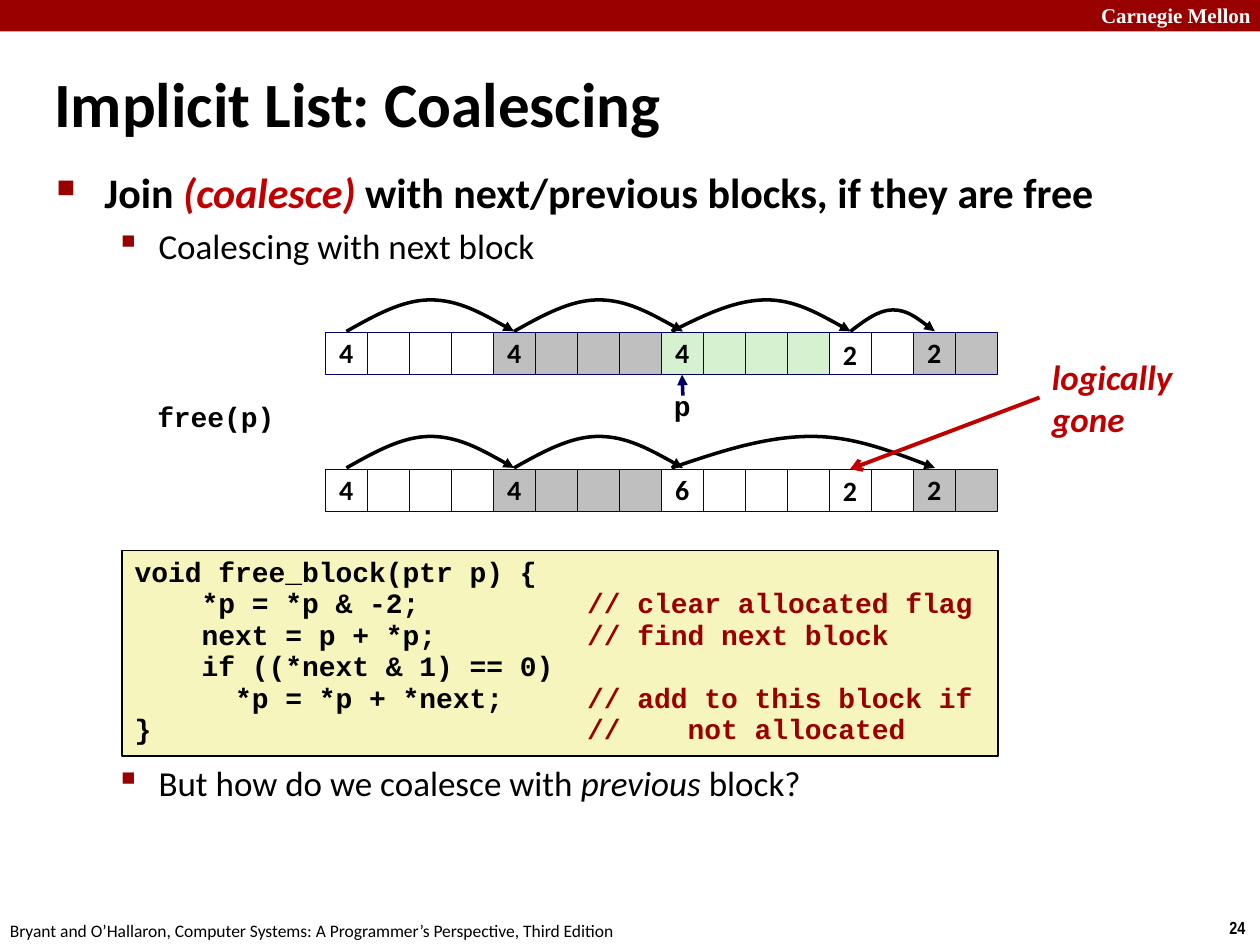
from typing import NamedTuple

from lxml.etree import SubElement
from pptx import Presentation
from pptx.dml.color import RGBColor
from pptx.enum.shapes import MSO_CONNECTOR as CONN, MSO_SHAPE as SHAPE
from pptx.enum.text import MSO_ANCHOR as ANCHOR, MSO_AUTO_SIZE as AUTO, PP_ALIGN as ALIGN
from pptx.oxml.ns import qn
from pptx.util import Inches, Pt

BLACK, WHITE, NAVY = "000000", "FFFFFF", "000066"
CRIMSON, RED = "990000", "C00000"
GRAY, GREEN, YELLOW = "BFBFBF", "D5F1CF", "F6F5BD"
SANS, MONO = "Calibri", "Courier New"
CELL = 1 / 3
ROW_LEFT = 2.58


class Style(NamedTuple):
    size: float
    font: str = SANS
    color: str = BLACK
    bold: bool = True
    italic: bool = False


class Label(NamedTuple):
    x: float
    y: float
    w: float
    h: float
    lines: tuple[str, ...]
    style: Style
    spacing: float = 1


class Block(NamedTuple):
    count: int
    size: str
    fill: str


class Arc(NamedTuple):
    start: float
    end: float
    height: float = 0.25
    peak: float = 0.5


class HeapRow(NamedTuple):
    top: float
    blocks: tuple[Block, ...]
    arcs: tuple[Arc, ...]


class Bullet(NamedTuple):
    char: str
    percent: int
    margin: float
    indent: float
    spacing: float
    before: float
    runs: tuple[tuple[str, Style], ...]


def rgb(color: str) -> RGBColor:
    return RGBColor.from_string(color)


def add_run(p, text: str, style: Style) -> None:
    r = p.add_run()
    r.text = text
    f = r.font
    f.name, f.size, f.bold, f.italic = style.font, Pt(style.size), style.bold, style.italic
    f.color.rgb = rgb(style.color)


def add_box(s, x: float, y: float, w: float, h: float, fill: str, line: str = "", width: float = 0):
    sp = s.shapes.add_shape(SHAPE.RECTANGLE, Inches(x), Inches(y), Inches(w), Inches(h))
    sp.shadow.inherit = False
    sp.fill.solid()
    sp.fill.fore_color.rgb = rgb(fill)
    if line:
        sp.line.color.rgb = rgb(line)
        sp.line.width = Pt(width)
    else:
        sp.line.fill.background()
    return sp


def add_label(s, label: Label):
    sp = s.shapes.add_textbox(*(Inches(v) for v in label[:4]))
    tf = sp.text_frame
    tf.word_wrap = False
    for i, text in enumerate(label.lines):
        p = tf.add_paragraph() if i else tf.paragraphs[0]
        p.line_spacing = label.spacing
        add_run(p, text, label.style)
    return sp


def style_line(sp, color: str, width: float, head: str) -> None:
    sp.line.color.rgb = rgb(color)
    sp.line.width = Pt(width)
    SubElement(sp.line._get_or_add_ln(), qn("a:tailEnd"), type=head)


def add_arrow(s, x1: float, y1: float, x2: float, y2: float, color: str, width: float, head: str):
    cx = s.shapes.add_connector(CONN.STRAIGHT, Inches(x1), Inches(y1), Inches(x2), Inches(y2))
    style_line(cx, color, width, head)
    SubElement(cx._element.spPr, qn("a:effectLst"))
    return cx


def add_arc(s, arc: Arc, base: float) -> None:
    top = base - arc.height
    middle = base - arc.height / 2
    left = (arc.end - arc.start) * arc.peak
    right = arc.end - arc.start - left
    peak = arc.start + left
    points = ((arc.start + left / 3, middle), (peak - left / 3, top), (peak, top),
              (peak + right / 3, top), (arc.end - right / 3, middle), (arc.end, base))
    builder = s.shapes.build_freeform(Inches(arc.start), Inches(base))
    builder.add_line_segments([(Inches(x), Inches(y)) for x, y in points], close=False)
    sp = builder.convert_to_shape()
    segments = list(sp._element.iter(qn("a:lnTo")))
    outline = segments[0].getparent()
    for i in (0, 3):
        curve = SubElement(outline, qn("a:cubicBezTo"))
        for segment in segments[i:i + 3]:
            curve.append(segment[0])
            outline.remove(segment)
    sp.shadow.inherit = False
    sp.fill.background()
    style_line(sp, BLACK, 2, "triangle")


def add_row(s, row: HeapRow) -> list:
    cells = []
    for block in row.blocks:
        for i in range(block.count):
            x = ROW_LEFT + len(cells) * CELL
            sp = add_box(s, x, row.top, CELL, CELL, block.fill, NAVY, 0.25)
            cells.append(sp)
            if i == 0 and block.size:
                tf = sp.text_frame
                tf.word_wrap = False
                tf.vertical_anchor = ANCHOR.MIDDLE
                p = tf.paragraphs[0]
                p.alignment = ALIGN.CENTER
                p.line_spacing = 0.98
                add_run(p, block.size, Style(16))
    for arc in row.arcs:
        add_arc(s, arc, row.top - 0.01)
    add_label(s, Label(6.59, row.top, 0.31, 0.37, ("2",), Style(16), 0.98))
    return cells


def add_bullet(p, bullet: Bullet) -> None:
    pPr = p._p.get_or_add_pPr()
    pPr.set("marL", str(Inches(bullet.margin)))
    pPr.set("indent", str(Inches(bullet.indent)))
    SubElement(SubElement(pPr, qn("a:buClr")), qn("a:srgbClr"), val=CRIMSON)
    SubElement(pPr, qn("a:buSzPct"), val=str(bullet.percent * 1000))
    SubElement(pPr, qn("a:buFont"), typeface="Wingdings", charset="2")
    SubElement(pPr, qn("a:buChar"), char=bullet.char)
    p.line_spacing = bullet.spacing
    p.space_before = Pt(bullet.before)
    for text, style in bullet.runs:
        add_run(p, text, style)


HEAD, SUB = Style(24), Style(20, bold=False)
BULLETS = (
    Bullet("n", 60, 0.38, -0.38, 0.83, 0, (
        ("Join ", HEAD),
        ("(coalesce) ", HEAD._replace(color=RED, italic=True)),
        ("with next/previous blocks, if they are free", HEAD))),
    Bullet("§", 110, 0.81, -0.31, 0.88, 7.5, (("Coalescing with next block", SUB),)),
    Bullet("§", 110, 0.81, -0.31, 0.88, 286, (
        ("But how do we coalesce with ", SUB),
        ("previous", SUB._replace(italic=True)),
        (" block?", SUB))),
)
CODE = (
    ("void free_block(ptr p) {", ""),
    ("    *p = *p & -2;", "// clear allocated flag"),
    ("    next = p + *p;", "// find next block"),
    ("    if ((*next & 1) == 0)", ""),
    ("      *p = *p + *next;", "// add to this block if"),
    ("}", "//    not allocated"),
)
FIRST_TWO = (Block(4, "4", WHITE), Block(4, "4", GRAY))
LAST_TWO = (Block(2, "", WHITE), Block(2, "2", "C0C0C0"))
FIRST_ARCS = (Arc(2.75, 4.08), Arc(4.08, 5.42))
BEFORE = HeapRow(2.64, (*FIRST_TWO, Block(4, "4", GREEN), *LAST_TWO),
                 (*FIRST_ARCS, Arc(5.33, 6.75, peak=0.53), Arc(6.75, 7.42, 0.17)))
AFTER = HeapRow(BEFORE.top + 3.25 * CELL, (*FIRST_TWO, Block(4, "6", WHITE), *LAST_TWO),
                (*FIRST_ARCS, Arc(5.33, 7.42, peak=0.53)))
MONO_16 = Style(16, MONO)
LABELS = (
    Label(8.64, -0.03, 1.43, 0.3, ("Carnegie Mellon",), Style(12, "Times New Roman", WHITE)),
    Label(9.66, 7.23, 0.34, 0.27, ("24",), Style(10, "Arial Narrow")),
    Label(-0.02, 7.25, 5.08, 0.27,
          ("Bryant and O’Hallaron, Computer Systems: A Programmer’s Perspective, Third Edition",),
          Style(10, bold=False)),
    Label(1.15, 3.14, 1.14, 0.36, ("free(p)",), MONO_16, 0.94),
    Label(5.25, 3.06, 0.33, 0.36, ("p",), MONO_16, 0.94),
)
GONE = Label(8.25, 2.77, 1.16, 0.77, ("logically", "gone"), Style(20, color=RED, italic=True))


def main() -> None:
    prs = Presentation()
    prs.slide_width, prs.slide_height = Inches(10), Inches(7.5)
    s = prs.slides.add_slide(prs.slide_layouts[5])
    add_box(s, 0, 0, 10, 0.25, CRIMSON)

    title = s.shapes.title
    title.left, title.top, title.width, title.height = (Inches(v) for v in (0.33, 0.5, 7.4, 0.63))
    tf = title.text_frame
    tf.auto_size = AUTO.NONE
    tf.vertical_anchor = ANCHOR.MIDDLE
    tf.paragraphs[0].alignment = ALIGN.LEFT
    add_run(tf.paragraphs[0], "Implicit List: Coalescing", Style(36))

    tf = s.shapes.add_textbox(Inches(0.35), Inches(1.34), Inches(9.09), Inches(6)).text_frame
    tf.word_wrap = True
    for i, bullet in enumerate(BULLETS):
        add_bullet(tf.add_paragraph() if i else tf.paragraphs[0], bullet)

    tf = add_box(s, 0.97, 4.37, 6.95, 1.63, YELLOW, BLACK, 1).text_frame
    tf.word_wrap = False
    tf.vertical_anchor = ANCHOR.TOP
    p = tf.paragraphs[0]
    p.alignment = ALIGN.LEFT
    p.line_spacing = 0.94
    for i, (code, comment) in enumerate(CODE):
        if i:
            p.add_line_break()
        add_run(p, f"{code:<27}" if comment else code, MONO_16)
        if comment:
            add_run(p, comment, MONO_16._replace(color=CRIMSON))

    before, after = add_row(s, BEFORE), add_row(s, AFTER)
    for label in LABELS:
        add_label(s, label)
    gone = add_label(s, GONE)

    pointer = add_arrow(s, 5.42, 3.14, 5.42, 2.97, NAVY, 2, "triangle")
    pointer.end_connect(before[8], 2)
    callout = add_arrow(s, 8.25, 3.16, 6.75, 3.72, RED, 2.25, "arrow")
    callout.begin_connect(gone, 1)
    callout.end_connect(after[12], 0)
    prs.save("out.pptx")


if __name__ == "__main__":
    main()
